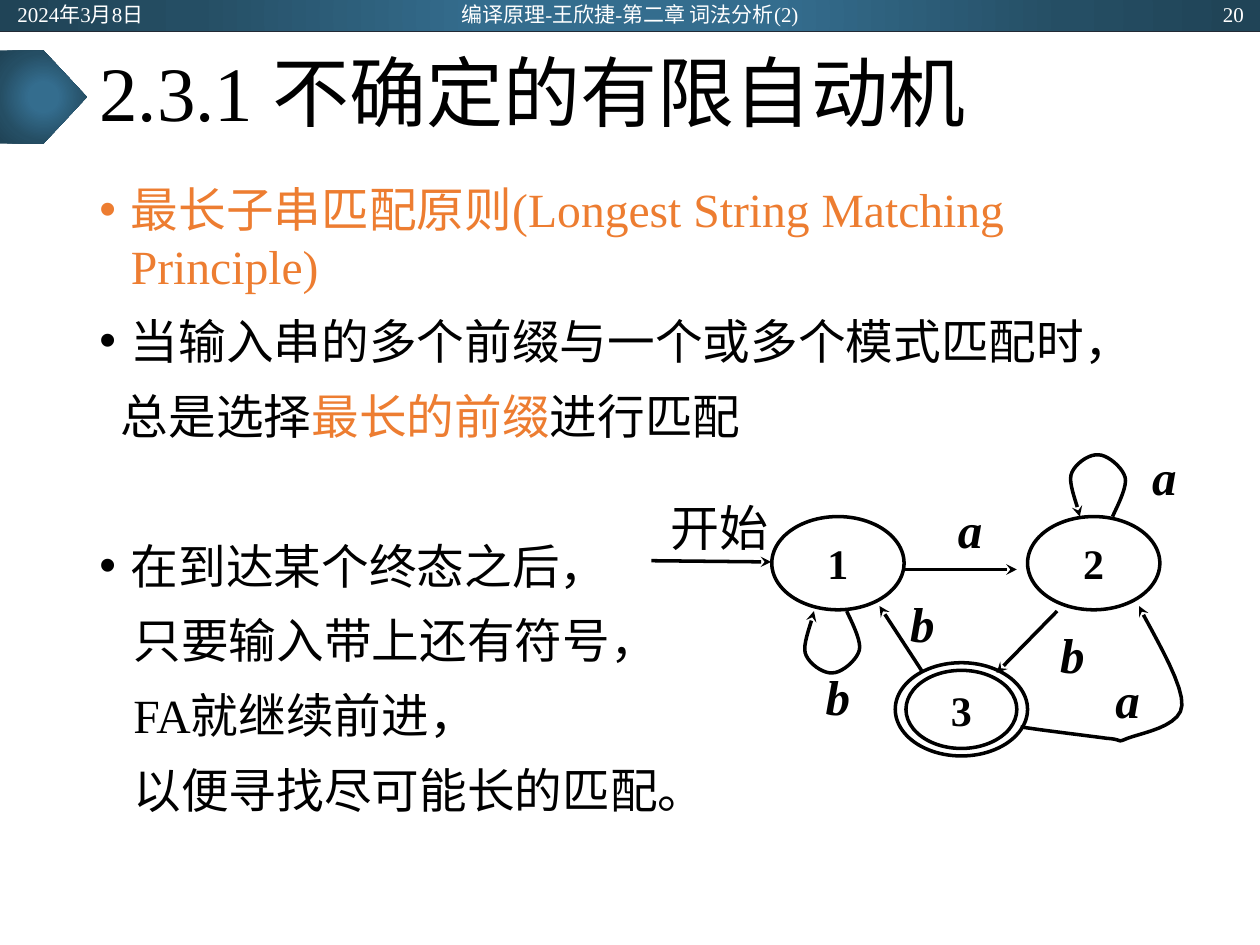
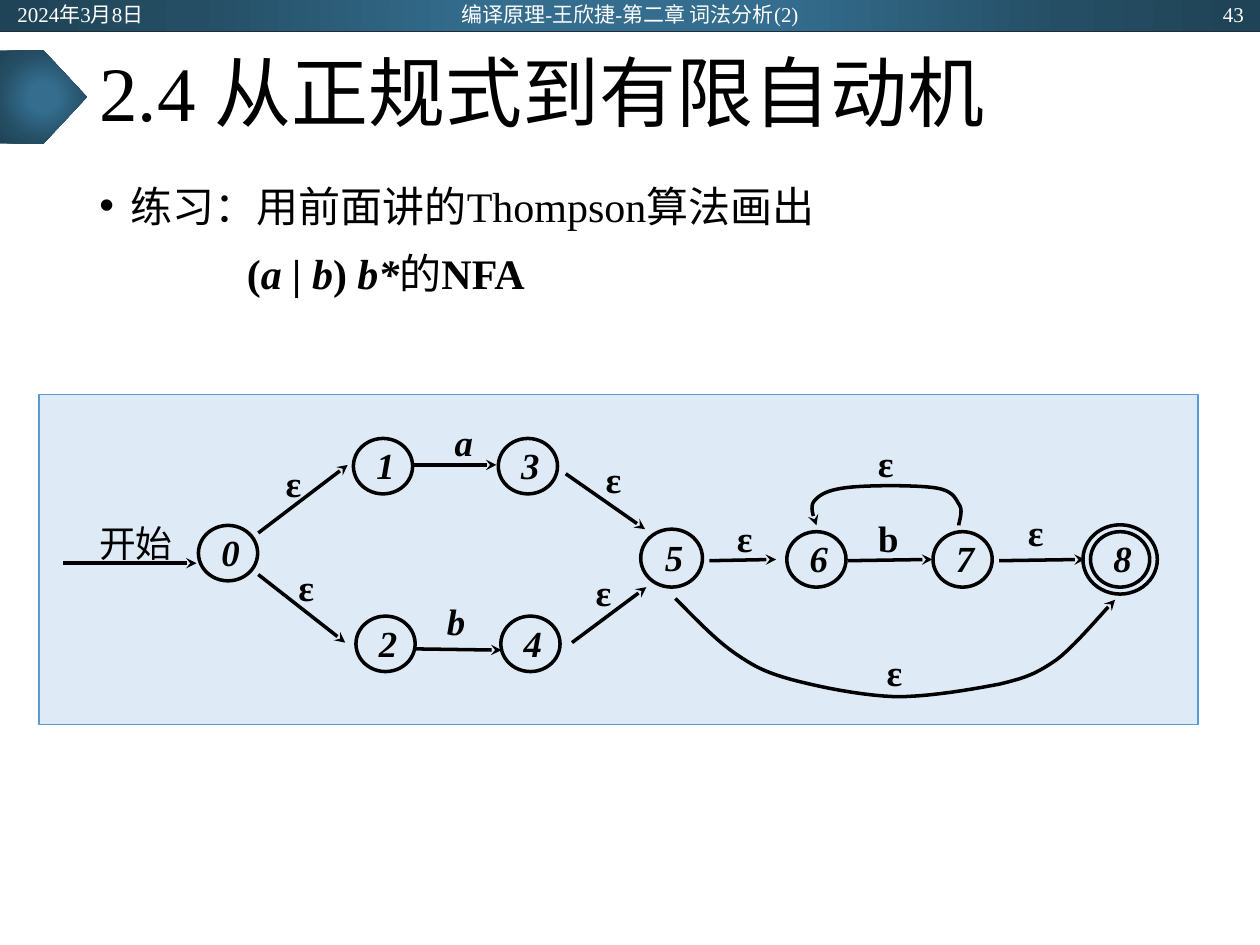
from lxml.etree import SubElement
from pptx import Presentation
from pptx.dml.color import RGBColor
from pptx.enum.shapes import MSO_CONNECTOR, MSO_SHAPE
from pptx.enum.text import MSO_ANCHOR, PP_ALIGN
from pptx.oxml import parse_xml
from pptx.oxml.ns import nsdecls, qn
from pptx.util import Inches, Pt

FONT = "Times New Roman"
BLACK, WHITE, ORANGE = "000000", "FFFFFF", "ED7D31"
RULE, PANEL, PANEL_EDGE = "222A35", "DEEBF7", "5B9BD5"
GLOW = [(0, "346D8E"), (23, "346D8E"), (69, "254E64"), (97, "204457")]
DATE, FOOTER = "2024年3月8日", "编译原理-王欣捷-第二章 词法分析(2)"
LEFT, CENTER, RIGHT = PP_ALIGN.LEFT, PP_ALIGN.CENTER, PP_ALIGN.RIGHT
LABEL_INSETS = (0.04, 0.02, 0.04, 0.02)
STATE_INSETS = (0.06, 0.02, 0.02, 0.04)


def rgb(color):
    return RGBColor.from_string(color)


def write(p, text, size=12, color=BLACK, bold=False, italic=False, align=LEFT):
    """Fill a paragraph; text is a string or a list of (string, overrides)."""
    p.alignment = align
    base = dict(color=color, bold=bold, italic=italic)
    for part, extra in [(text, {})] if isinstance(text, str) else text:
        look = {**base, **extra}
        r = p.add_run()
        r.text = part
        r.font.name, r.font.size = FONT, Pt(size)
        r.font.bold, r.font.italic = look["bold"], look["italic"]
        r.font.color.rgb = rgb(look["color"])


def set_frame(tf, insets, anchor=MSO_ANCHOR.MIDDLE, wrap=True):
    tf.word_wrap, tf.vertical_anchor = wrap, anchor
    (tf.margin_left, tf.margin_top,
     tf.margin_right, tf.margin_bottom) = map(Inches, insets)


def add_text(slide, box, text, insets=(0.1, 0.05, 0.1, 0.05), **fmt):
    tf = slide.shapes.add_textbox(*map(Inches, box)).text_frame
    set_frame(tf, insets)
    write(tf.paragraphs[0], text, **fmt)
    return tf


def add_shape(slide, kind, box, fill=None, line=None, width=2):
    s = slide.shapes.add_shape(kind, *map(Inches, box))
    s.shadow.inherit = False
    paint(s, fill, line, width)
    return s


def paint(s, fill=None, line=None, width=2):
    if fill:
        s.fill.solid()
        s.fill.fore_color.rgb = rgb(fill)
    else:
        s.fill.background()
    if line:
        s.line.color.rgb = rgb(line)
        s.line.width = Pt(width)
    else:
        s.line.fill.background()


def glow(s):
    """Fill a shape with the round blue gradient."""
    stops = "".join(f'<a:gs pos="{pos * 1000}"><a:srgbClr val="{color}"/></a:gs>'
                    for pos, color in GLOW)
    sides = " ".join(f'{side}="50000"' for side in "ltrb")
    none = s._element.spPr.find(qn("a:noFill"))
    none.getparent().replace(none, parse_xml(
        f'<a:gradFill {nsdecls("a")} rotWithShape="1"><a:gsLst>{stops}</a:gsLst>'
        f'<a:path path="circle"><a:fillToRect {sides}/></a:path></a:gradFill>'))


def add_arrowhead(s):
    SubElement(s.line._get_or_add_ln(), qn("a:tailEnd"), type="stealth")


def add_line(slide, x1, y1, x2, y2, color=BLACK, width=2, arrow=True):
    c = slide.shapes.add_connector(MSO_CONNECTOR.STRAIGHT, *map(Inches, (x1, y1, x2, y2)))
    c.line.color.rgb, c.line.width = rgb(color), Pt(width)
    if arrow:
        add_arrowhead(c)
    SubElement(c._element.spPr, qn("a:effectLst"))


def bezier(points, steps=10):
    """Sample a chain of cubic curves: start, then three points per curve."""
    sampled = [points[0]]
    for i in range(0, len(points) - 1, 3):
        for k in range(1, steps + 1):
            t = k / steps
            weights = ((1 - t) ** 3, 3 * t * (1 - t) ** 2, 3 * t * t * (1 - t), t ** 3)
            sampled.append(tuple(sum(w * pt[axis] for w, pt in zip(weights, points[i:i + 4]))
                                 for axis in (0, 1)))
    return sampled


def add_curve(slide, points):
    start, *rest = [tuple(map(Inches, pt)) for pt in bezier(points)]
    builder = slide.shapes.build_freeform(*start)
    builder.add_line_segments(rest, close=False)
    s = builder.convert_to_shape()
    s.shadow.inherit = False
    paint(s, line=BLACK)
    add_arrowhead(s)


def centred(x, y, size):
    w, h = size
    return x - w / 2, y - h / 2, w, h


def automaton(slide, origin, states, ring, arrows, curves, labels, label_size,
              state_fmt, insets, wrap):
    """Draw states (name, x, y, size), arrows, curves and labels from an origin."""
    ox, oy = origin
    for name, x, y, size in states:
        s = add_shape(slide, MSO_SHAPE.OVAL, centred(ox + x, oy + y, size), line=BLACK)
        set_frame(s.text_frame, insets, wrap=wrap)
        write(s.text_frame.paragraphs[0], name, bold=True, align=CENTER, **state_fmt)
    x, y, size = ring
    add_shape(slide, MSO_SHAPE.OVAL, centred(ox + x, oy + y, size), line=BLACK)
    for x1, y1, x2, y2 in arrows:
        add_line(slide, ox + x1, oy + y1, ox + x2, oy + y2)
    for points in curves:
        add_curve(slide, [(ox + x, oy + y) for x, y in points])
    for text, x, y, style in labels:
        look = dict(bold="b" in style, italic="i" in style)
        box = centred(ox + x, oy + y, (0.55 if style else 1.2, 0.5))
        add_text(slide, box, text, LABEL_INSETS, size=label_size, align=CENTER, **look)


def add_frame(prs, title, number):
    """Start a slide with its header band, arrow tab and title."""
    slide = prs.slides.add_slide(prs.slide_layouts[6])
    glow(add_shape(slide, MSO_SHAPE.RECTANGLE, (0, 0, 10, 0.25)))
    add_line(slide, 0, 0.25, 10, 0.25, RULE, 0.5, arrow=False)
    glow(add_shape(slide, MSO_SHAPE.PENTAGON, (0, 0.4, 0.69, 0.74)))
    tf = add_text(slide, (0.69, 0.25, 8.62, 1.04), title, size=44)
    tf.paragraphs[0].line_spacing = 0.9
    for x, w, text, align in [(0.04, 2.25, DATE, LEFT), (3.31, 3.38, FOOTER, CENTER),
                              (7.72, 2.25, number, RIGHT)]:
        add_text(slide, (x, 0.01, w, 0.2), text, color=WHITE, align=align)
    return slide


def add_body(slide, box, size, paragraphs):
    """Write (text, indent, space before); indent None makes a bullet."""
    tf = slide.shapes.add_textbox(*map(Inches, box)).text_frame
    set_frame(tf, (0.1, 0.05, 0.1, 0.05), MSO_ANCHOR.TOP)
    for i, (text, indent, before) in enumerate(paragraphs):
        p = tf.add_paragraph() if i else tf.paragraphs[0]
        pPr = p._p.get_or_add_pPr()
        pPr.set("marL", str(Inches(0.25 if indent is None else indent)))
        if indent is None:
            pPr.set("indent", str(Inches(-0.25)))
            SubElement(pPr, qn("a:buFont"), typeface="Arial")
            SubElement(pPr, qn("a:buChar"), char="•")
        p.space_before = Pt(before)
        write(p, text, size=size)


def nfa_slide(prs):
    slide = add_frame(prs, "2.3.1 不确定的有限自动机", "20")
    add_body(slide, (0.69, 1.38, 8.62, 5.38), 27.2, [
        ([("最长子串匹配原则(Longest String Matching Principle)", {"color": ORANGE})], None, 0),
        ("当输入串的多个前缀与一个或多个模式匹配时，", None, 10),
        ([("总是选择", {}), ("最长的前缀", {"color": ORANGE}), ("进行匹配", {})], 0.17, 10),
        ("在到达某个终态之后，", None, 53),
        ("只要输入带上还有符号，", 0.27, 10),
        ("FA就继续前进，", 0.27, 10),
        ("以便寻找尽可能长的匹配。", 0.27, 10),
    ])
    size = (1.05, 0.74)
    loop_1 = [(1.72, 1.35), (1.74, 1.4), (1.84, 1.58), (1.82, 1.66), (1.8, 1.74),
              (1.68, 1.84), (1.61, 1.84), (1.53, 1.85), (1.41, 1.76), (1.39, 1.68),
              (1.37, 1.6), (1.45, 1.42), (1.46, 1.35)]
    loop_2 = [(x + 2.11, 1.95 - y) for x, y in loop_1]
    from_3_to_2 = [(3.1, 2.27), (3.37, 2.31), (3.64, 2.34), (3.78, 2.36), (3.93, 2.37),
                   (3.85, 2.4), (3.95, 2.36), (4.05, 2.32), (4.37, 2.27), (4.38, 2.1),
                   (4.4, 1.92), (4.08, 1.41), (4.04, 1.31)]
    automaton(
        slide, (5, 3.5),
        states=[("1", 1.65, 0.97, size), ("2", 3.68, 0.97, size), ("3", 2.63, 2.13, size)],
        ring=(2.63, 2.13, (0.88, 0.62)),
        arrows=[(0.17, 0.95, 1.12, 0.96), (2.18, 1.02, 3.07, 1.02),
                (3.39, 1.35, 2.91, 1.84), (2.32, 1.83, 1.98, 1.31)],
        curves=[loop_1, loop_2, from_3_to_2],
        labels=[("开始", 0.71, 0.68, ""), ("a", 2.7, 0.7, "bi"), ("b", 1.65, 2.02, "bi"),
                ("a", 4.24, 0.28, "bi"), ("b", 3.51, 1.69, "bi"), ("a", 3.95, 2.05, "bi"),
                ("b", 2.32, 1.44, "bi")],
        label_size=28, state_fmt=dict(size=24), insets=LABEL_INSETS, wrap=False)


def thompson_slide(prs):
    slide = add_frame(prs, "2.4 从正规式到有限自动机", "43")
    bold, slanted = {"bold": True}, {"bold": True, "italic": True}
    add_body(slide, (0.69, 1.38, 8.62, 5.38), 24, [
        ("练习：用前面讲的Thompson算法画出", None, 0),
        ([("(", bold), ("a | b", slanted), (")", bold), (" b*", slanted), ("的", {}),
          ("NFA", bold)], 1.17, 10),
    ])
    panel = (0.31, 3.13, 9.2, 2.62)
    add_shape(slide, MSO_SHAPE.RECTANGLE, panel, PANEL, PANEL_EDGE, 1)
    size = (0.47, 0.44)
    from_7_to_6 = [(7.3, 1.04), (7.3, 1.01), (7.34, 0.92), (7.3, 0.87), (7.27, 0.82),
                   (7.25, 0.76), (7.1, 0.74), (6.95, 0.72), (6.57, 0.72), (6.41, 0.74),
                   (6.25, 0.76), (6.19, 0.8), (6.15, 0.85), (6.11, 0.9), (6.16, 1),
                   (6.17, 1.04)]
    from_5_to_8 = [(5.05, 1.62), (5.22, 1.79), (5.37, 1.95), (5.53, 2.06), (5.68, 2.16),
                   (5.75, 2.2), (5.96, 2.26), (6.18, 2.32), (6.52, 2.39), (6.8, 2.4),
                   (7.07, 2.4), (7.41, 2.34), (7.62, 2.3), (7.83, 2.25), (7.91, 2.22),
                   (8.07, 2.11), (8.22, 2), (8.44, 1.73), (8.54, 1.63)]
    automaton(
        slide, panel[:2],
        states=[("0", 1.5, 1.26, size), ("1", 2.73, 0.57, size), ("2", 2.75, 1.98, size),
                ("3", 3.88, 0.57, size), ("4", 3.9, 1.98, size), ("5", 5.02, 1.3, (0.49, 0.46)),
                ("6", 6.17, 1.31, size), ("7", 7.33, 1.31, size), ("8", 8.58, 1.31, size)],
        ring=(8.58, 1.31, (0.59, 0.55)),
        arrows=[(0.19, 1.34, 1.25, 1.34), (1.74, 1.1, 2.45, 0.56), (1.74, 1.43, 2.43, 1.97),
                (2.97, 0.56, 3.63, 0.56), (2.99, 2.02, 3.67, 2.03), (4.18, 0.63, 4.81, 1.07),
                (4.23, 1.97, 4.82, 1.53), (5.32, 1.32, 5.85, 1.31), (6.42, 1.32, 7.09, 1.31),
                (7.62, 1.32, 8.3, 1.31)],
        curves=[from_7_to_6, from_5_to_8],
        labels=[("开始", 0.77, 1.18, ""), ("ε", 2.02, 0.7, "b"), ("ε", 2.12, 1.53, "b"),
                ("a", 3.37, 0.38, "bi"), ("b", 3.31, 1.8, "bi"), ("ε", 4.56, 0.67, "b"),
                ("ε", 4.48, 1.57, "b"), ("ε", 5.6, 1.14, "b"), ("b", 6.74, 1.14, "b"),
                ("ε", 6.72, 0.54, "b"), ("ε", 7.91, 1.09, "b"), ("ε", 6.79, 2.2, "b")],
        label_size=21, state_fmt=dict(size=21, italic=True), insets=STATE_INSETS, wrap=True)


def main():
    prs = Presentation()
    prs.slide_width, prs.slide_height = Inches(10), Inches(7.5)
    nfa_slide(prs)
    thompson_slide(prs)
    prs.save("out.pptx")


if __name__ == "__main__":
    main()
